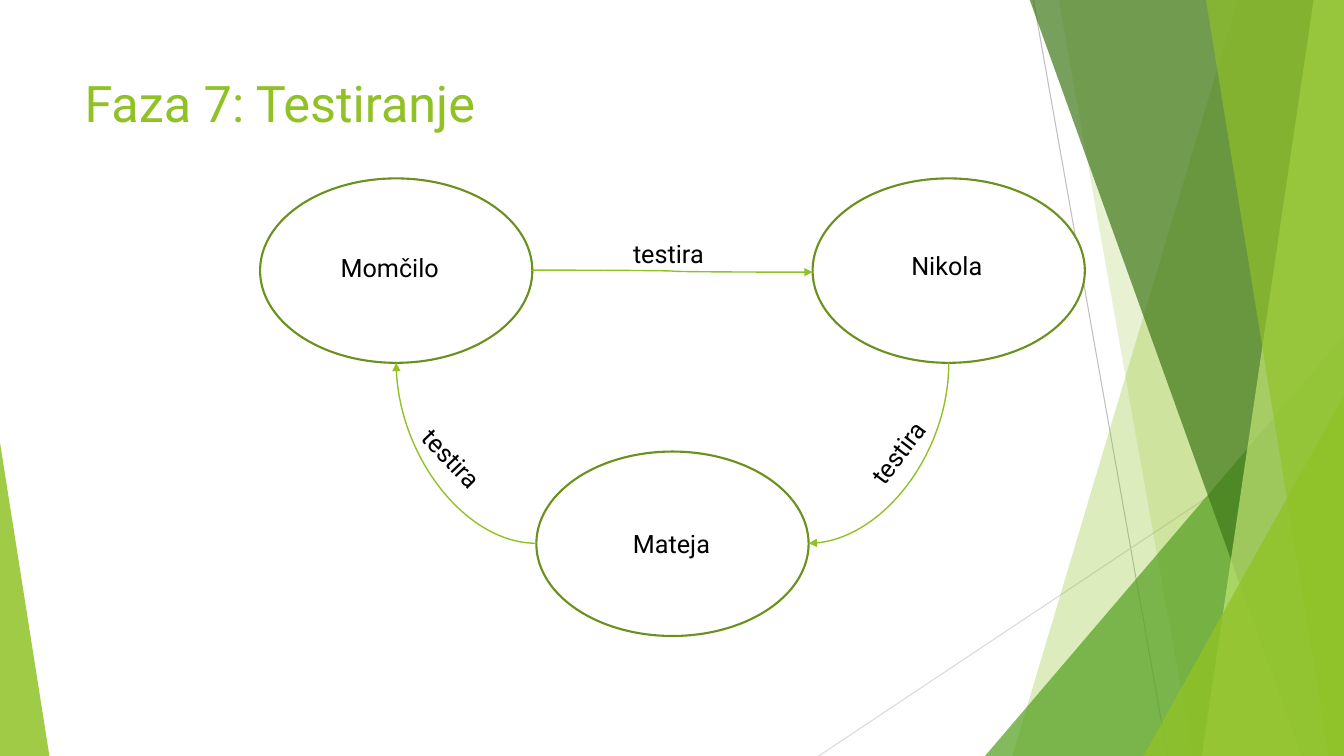
import dataclasses
import typing

import lxml.etree
import pptx
import pptx.dml.color
import pptx.enum.shapes
import pptx.enum.text
import pptx.oxml.ns
import pptx.util

Inches = pptx.util.Inches
Shape = pptx.enum.shapes.MSO_SHAPE
Link = pptx.enum.shapes.MSO_CONNECTOR
Point = tuple[float, float]


@dataclasses.dataclass(frozen=True)
class Theme:
    font: str = "Roboto"
    lime: str = "90C226"
    leaf: str = "54A021"
    pine: str = "3F7819"
    pale: str = "C0E474"
    rim: str = "6B901C"
    gray: str = "BFBFBF"
    mist: str = "D9D9D9"
    white: str = "FFFFFF"
    black: str = "000000"
    title: float = 36
    body: float = 18


THEME = Theme()
WIDE, HIGH = 13.33, 7.5
TOP = -0.01
OVAL_W, OVAL_H = 2.7, 1.83


class Band(typing.NamedTuple):
    """Panel that reaches the right edge, with a slanted left side."""
    top: float
    base: float
    color: str
    alpha: int


class Wedge(typing.NamedTuple):
    """Triangle that stands on the bottom edge."""
    left: float
    top: float
    width: float
    peak: float
    color: str
    alpha: int


class Label(typing.NamedTuple):
    text: str
    left: float
    top: float
    width: float
    height: float = 0.4
    turn: float = 0
    size: float = THEME.body
    color: str = THEME.black


class Line(typing.NamedTuple):
    start: Point
    end: Point
    color: str = THEME.lime
    weight: float = 1
    preset: str = "line"
    turn: int = 0
    arrow: bool = False


RAYS = [
    Line((10.25, 0), (11.58, HIGH), THEME.gray, 0.75),
    Line((WIDE, 4.03), (8.12, HIGH), THEME.mist, 0.75),
]
DECOR = [
    Band(12.28, 10.04, THEME.lime, 30),
    Band(10.5, 11.83, THEME.lime, 20),
    Wedge(9.77, 3.33, 3.56, 1, THEME.leaf, 72),
    Band(10.21, 12.91, THEME.pine, 70),
    Band(13.03, 11.92, THEME.pale, 70),
    Band(11.96, 13.18, THEME.lime, 65),
    Wedge(11.34, 3.93, 1.99, 1, THEME.lime, 80),
    Wedge(0, 4.39, 0.49, 0, THEME.lime, 85),
]
TITLE = Label("Faza 7: Testiranje", 0.74, 0.67, 9.4, 1.44,
              size=THEME.title, color=THEME.lime)
OVALS: list[Point] = [(2.58, 1.77), (5.32, 4.48), (8.06, 1.77)]
NAMES = [
    Label("Momčilo", 3.28, 2.45, 1.61),
    Label("Nikola", 8.94, 2.43, 1.33),
    Label("Mateja", 6.18, 5.19, 1.5),
]
ARROWS = [
    Line((5.28, 2.68), (8.06, 2.7), preset="curvedConnector3", arrow=True),
    Line((5.32, 5.39), (3.93, 3.6), preset="curvedConnector2", arrow=True),
    # Box before its quarter turn: runs from (9.41, 3.6) to (8.02, 5.39)
    Line((7.82, 3.8), (9.61, 5.19), preset="curvedConnector2", turn=90, arrow=True),
]
TESTS = [
    Label("testira", 6.18, 2.32, 1.02),
    Label("testira", 4.01, 4.39, 1.02, turn=46.5),
    Label("testira", 8.43, 4.24, 1.02, turn=307.2),
]


def rgb(color: str) -> pptx.dml.color.RGBColor:
    return pptx.dml.color.RGBColor.from_string(color)


def add_tag(parent, tag: str, **values: str) -> None:
    lxml.etree.SubElement(parent, pptx.oxml.ns.qn(tag), values)


def tint(shape, color: str, alpha: int) -> None:
    """Give a shape a see-through fill and no outline."""
    shape.shadow.inherit = False
    shape.fill.solid()
    shape.fill.fore_color.rgb = rgb(color)
    shape.line.fill.background()
    fill = shape.element.spPr.find(pptx.oxml.ns.qn("a:solidFill"))
    add_tag(fill[0], "a:alpha", val=str(alpha * 1000))


def draw_band(slide, band: Band) -> None:
    points = [(WIDE, TOP), (WIDE, HIGH), (band.base, HIGH)]
    pen = slide.shapes.build_freeform(Inches(band.top), Inches(TOP))
    pen.add_line_segments([(Inches(x), Inches(y)) for x, y in points])
    tint(pen.convert_to_shape(), band.color, band.alpha)


def draw_wedge(slide, wedge: Wedge) -> None:
    shape = slide.shapes.add_shape(
        Shape.ISOSCELES_TRIANGLE, Inches(wedge.left), Inches(wedge.top),
        Inches(wedge.width), Inches(HIGH - wedge.top))
    shape.adjustments[0] = wedge.peak
    tint(shape, wedge.color, wedge.alpha)


def draw_oval(slide, place: Point) -> None:
    shape = slide.shapes.add_shape(
        Shape.OVAL, Inches(place[0]), Inches(place[1]),
        Inches(OVAL_W), Inches(OVAL_H))
    shape.shadow.inherit = False
    shape.fill.solid()
    shape.fill.fore_color.rgb = rgb(THEME.white)
    shape.line.color.rgb = rgb(THEME.rim)
    shape.line.width = pptx.util.Pt(1.5)


def draw_line(slide, line: Line) -> None:
    kind = Link.STRAIGHT if line.preset == "line" else Link.CURVE
    link = slide.shapes.add_connector(
        kind, *(Inches(v) for v in line.start + line.end))
    link.line.color.rgb = rgb(line.color)
    link.line.width = pptx.util.Pt(line.weight)
    props = link.element.spPr
    props.find(pptx.oxml.ns.qn("a:prstGeom")).set("prst", line.preset)
    if line.turn:
        props.find(pptx.oxml.ns.qn("a:xfrm")).set("rot", str(line.turn * 60000))
    if line.arrow:
        add_tag(props.find(pptx.oxml.ns.qn("a:ln")), "a:tailEnd", type="triangle")
    add_tag(props, "a:effectLst")


def draw_label(slide, label: Label) -> None:
    box = slide.shapes.add_textbox(
        Inches(label.left), Inches(label.top),
        Inches(label.width), Inches(label.height))
    box.rotation = label.turn
    frame = box.text_frame
    frame.word_wrap = True
    frame.vertical_anchor = pptx.enum.text.MSO_ANCHOR.TOP
    para = frame.paragraphs[0]
    para.text = label.text
    para.font.name = THEME.font
    para.font.size = pptx.util.Pt(label.size)
    para.font.color.rgb = rgb(label.color)


def main() -> None:
    deck = pptx.Presentation()
    deck.slide_width, deck.slide_height = Inches(WIDE), Inches(HIGH)
    slide = deck.slides.add_slide(deck.slide_layouts[6])

    # Backdrop
    for ray in RAYS:
        draw_line(slide, ray)
    for part in DECOR:
        if isinstance(part, Band):
            draw_band(slide, part)
        else:
            draw_wedge(slide, part)

    # Title and test cycle
    draw_label(slide, TITLE)
    for place in OVALS:
        draw_oval(slide, place)
    for name in NAMES:
        draw_label(slide, name)
    for arrow in ARROWS:
        draw_line(slide, arrow)
    for test in TESTS:
        draw_label(slide, test)

    deck.save("out.pptx")


if __name__ == "__main__":
    main()
